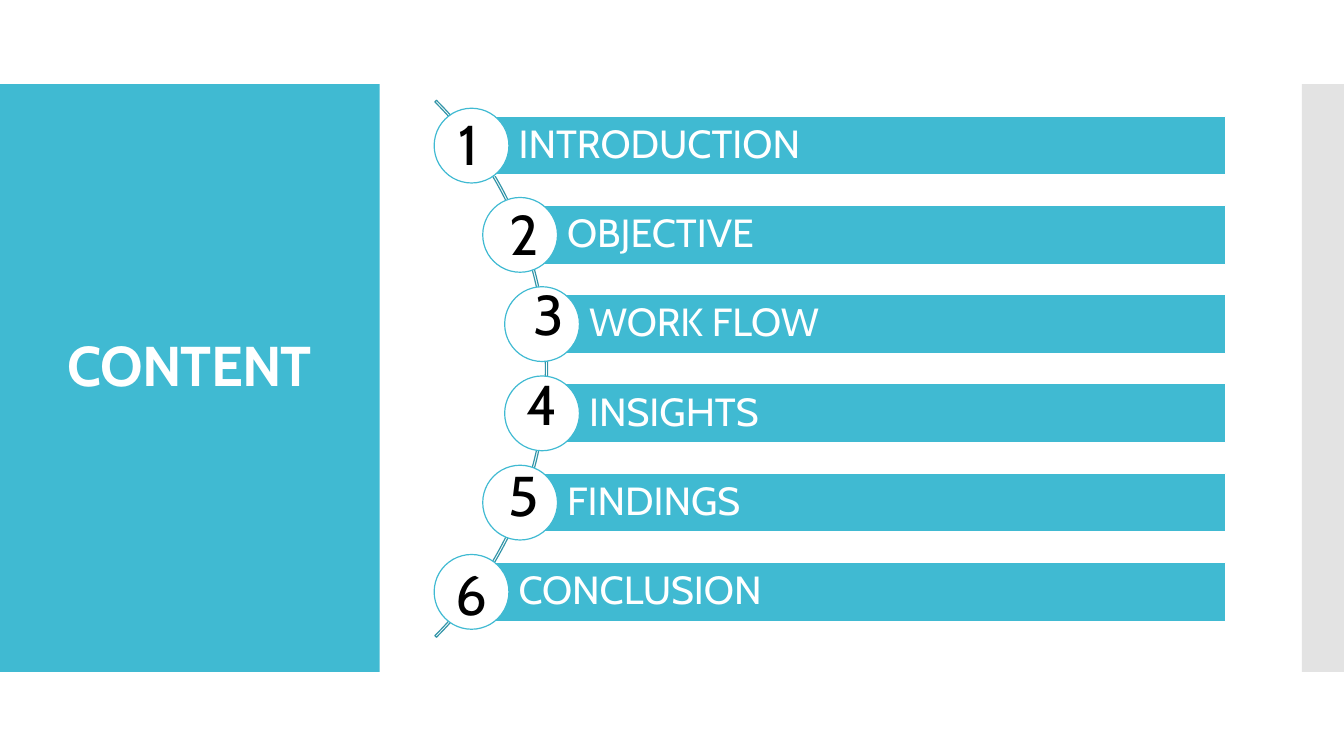
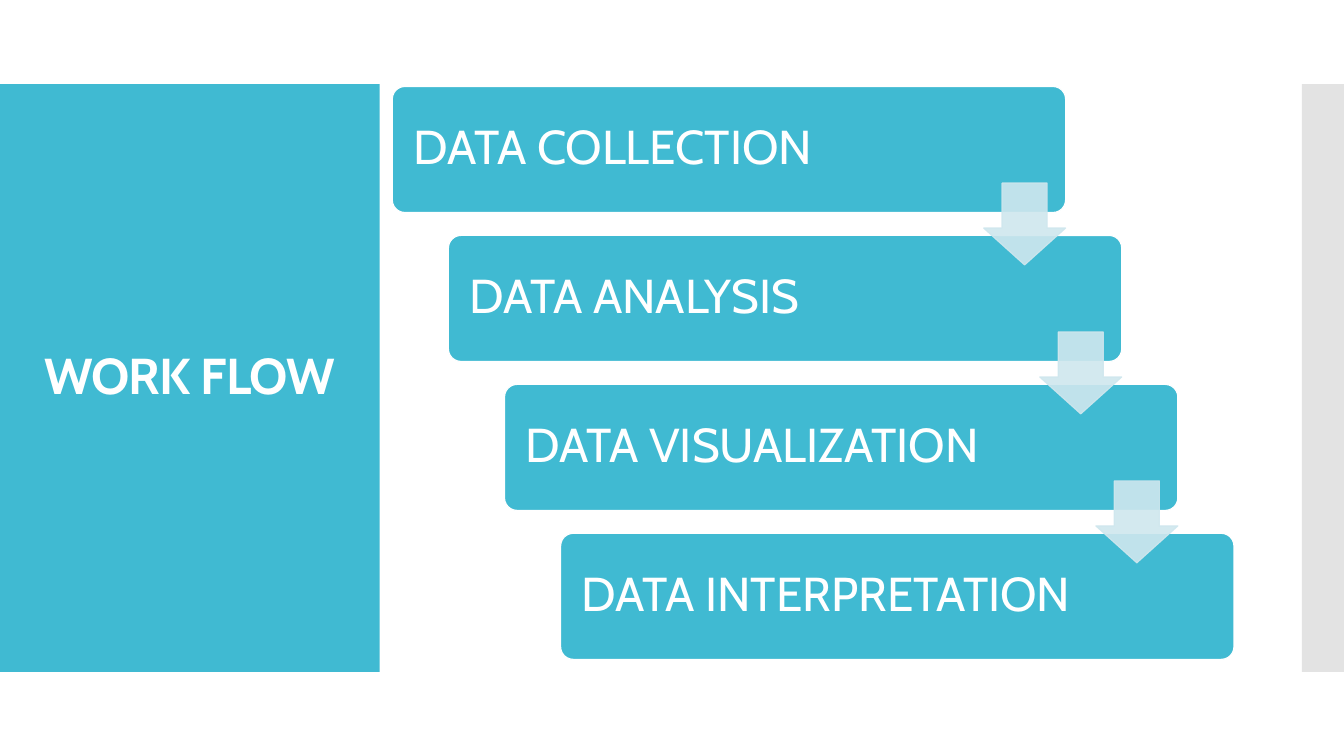
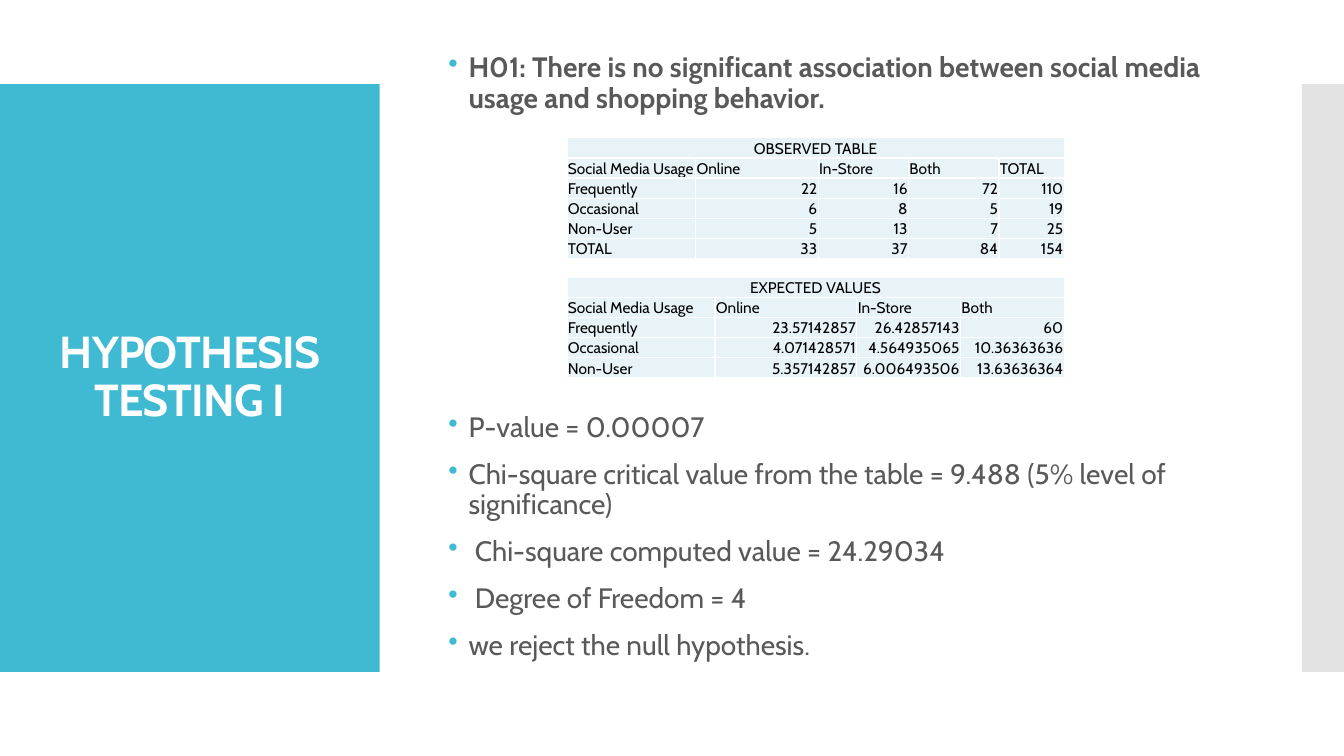
import math
from dataclasses import dataclass

import pptx
import pptx.util
import pptx.dml.color
import pptx.enum.shapes
import pptx.enum.text
import pptx.oxml
import pptx.oxml.ns

Pt = pptx.util.Pt
SHAPE = pptx.enum.shapes.MSO_SHAPE
ALIGN = pptx.enum.text.PP_ALIGN
ANCHOR = pptx.enum.text.MSO_ANCHOR
qn = pptx.oxml.ns.qn

# The slide is a grid of 160 columns by 90 rows
COLS, ROWS = 160, 90
CELL = pptx.util.Inches(7.5) / ROWS


@dataclass(frozen=True)
class Theme:
    font: str = "Cabin"
    accent: str = "40BAD2"
    arc: str = "3395A8"
    arrow: str = "CFE7EE"
    side: str = "C8C8C8"
    table: str = "E8F3F7"
    text: str = "595959"
    white: str = "FFFFFF"
    black: str = "000000"
    line: float = 0.85
    number: int = 40
    step: int = 34
    item: int = 28
    body: int = 20
    cell: int = 11


T = Theme()


@dataclass(frozen=True)
class Box:
    l: float
    t: float
    w: float
    h: float

    def emu(self):
        return [round(v * CELL) for v in (self.l, self.t, self.w, self.h)]


def rgb(color):
    return pptx.dml.color.RGBColor.from_string(color)


def add_text(p, text, size, color=T.white, bold=False, align=ALIGN.LEFT,
             leading=None, before=0, spacing=None):
    """Write one formatted run into a paragraph."""
    p.alignment = align
    p.line_spacing = leading
    p.space_before = Pt(before)
    r = p.add_run()
    r.text = text
    r.font.name, r.font.size, r.font.bold = T.font, Pt(size), bold
    r.font.color.rgb = rgb(color)
    if spacing:
        r._r.get_or_add_rPr().set("spc", str(spacing))


def add_shape(s, kind, box, fill=None, line=None, alpha=None, adj=()):
    sp = s.shapes.add_shape(kind, *box.emu())
    sp.shadow.inherit = False
    for i, value in enumerate(adj):
        sp.adjustments[i] = value
    if fill:
        sp.fill.solid()
        sp.fill.fore_color.rgb = rgb(fill)
    else:
        sp.fill.background()
    if line:
        sp.line.color.rgb = rgb(line)
        sp.line.width = Pt(T.line)
    else:
        sp.line.fill.background()
    if alpha:
        for color in sp._element.spPr.iter(qn("a:srgbClr")):
            color.append(pptx.oxml.parse_xml(
                f'<a:alpha {pptx.oxml.ns.nsdecls("a")} val="{alpha * 1000}"/>'))
    return sp


def add_label(sp, text, size, inset):
    """Left-aligned label inside a bar; inset in grid columns."""
    tf = sp.text_frame
    tf.word_wrap = True
    tf.vertical_anchor = ANCHOR.MIDDLE
    tf.margin_left = round(inset * CELL)
    add_text(tf.paragraphs[0], text, size, leading=0.9)


def add_box(s, box, anchor=ANCHOR.TOP):
    tf = s.shapes.add_textbox(*box.emu()).text_frame
    tf.word_wrap = True
    tf.vertical_anchor = anchor
    return tf


def new_slide(prs, title, size, title_top=14.8):
    """Blank slide with the title panel and the side band."""
    s = prs.slides.add_slide(prs.slide_layouts[6])
    add_shape(s, SHAPE.RECTANGLE, Box(0, 10, 45.2, 70), T.accent)
    add_shape(s, SHAPE.RECTANGLE, Box(COLS - 5, 10, 5, 70), T.side, alpha=50)
    tf = add_box(s, Box(3.3, title_top, 38.6, 60.4), ANCHOR.MIDDLE)
    add_text(tf.paragraphs[0], title, size, bold=True, align=ALIGN.CENTER,
             leading=0.9, spacing=-60)
    return s


def agenda(s, box, items):
    """Numbered bars whose badges follow an arc."""
    cx, cy = box.l - 32, box.t + box.h / 2
    outer, radius, badge = 45.2, 44.85, 8.9
    add_shape(s, SHAPE.BLOCK_ARC, Box(cx - outer, cy - outer, 2 * outer, 2 * outer),
              line=T.arc, adj=(189, 27, 0.003))
    pitch = box.h / 6.4
    bar_h = pitch * 0.66
    for i, (label, dx, dy) in enumerate(items):
        y = cy + (i - (len(items) - 1) / 2) * pitch
        x = cx + math.sqrt(radius ** 2 - (y - cy) ** 2)
        bar = add_shape(s, SHAPE.RECTANGLE,
                        Box(x, y - bar_h / 2, box.l + box.w - x, bar_h),
                        T.accent, T.white)
        add_label(bar, label, T.item, 5.6)
        left, top = x - badge / 2, y - badge / 2
        add_shape(s, SHAPE.OVAL, Box(left, top, badge, badge), T.white, T.accent)
        tf = add_box(s, Box(left + dx, top + dy, 8, 9.2))
        add_text(tf.paragraphs[0], str(i + 1), T.number, T.black)


def staircase(s, box, steps):
    """Descending steps joined by arrows."""
    gaps = len(steps) - 1
    w, h, arrow = box.w * 0.8, box.h * 0.22, 9.75
    dx, dy = (box.w - w) / gaps, (box.h - h) / gaps
    places = [Box(box.l + i * dx, box.t + i * dy, w, h) for i in range(len(steps))]
    for place, label in zip(places, steps):
        sp = add_shape(s, SHAPE.ROUNDED_RECTANGLE, place, T.accent, T.white, adj=(0.1,))
        add_label(sp, label, T.step, 2.1)
    for place in places[:-1]:
        middle = place.t + (h + dy) / 2
        add_shape(s, SHAPE.DOWN_ARROW,
                  Box(place.l + w - arrow, middle - arrow / 2, arrow, arrow),
                  T.arrow, T.arrow, alpha=90, adj=(0.55, 0.45))


def bullets(s, box, lines, bold=False):
    tf = add_box(s, box)
    for i, line in enumerate(lines):
        p = tf.add_paragraph() if i else tf.paragraphs[0]
        add_text(p, line, T.body, T.text, bold, leading=0.9, before=12 if i else 0)
        pPr = p._p.get_or_add_pPr()
        indent = round(2.4 * CELL)
        pPr.set("marL", str(indent))
        pPr.set("indent", str(-indent))
        ns = pptx.oxml.ns.nsdecls("a")
        pPr.append(pptx.oxml.parse_xml(
            f'<a:buClr {ns}><a:srgbClr val="{T.accent}"/></a:buClr>'))
        pPr.append(pptx.oxml.parse_xml(f'<a:buChar {ns} char="•"/>'))


def format_cell(cell, text, align):
    tcPr = cell._tc.get_or_add_tcPr()
    for side in ("lnL", "lnR", "lnT", "lnB"):
        tcPr.append(pptx.oxml.parse_xml(
            f'<a:{side} {pptx.oxml.ns.nsdecls("a")} w="12700"><a:solidFill>'
            f'<a:srgbClr val="{T.white}"/></a:solidFill></a:{side}>'))
    cell.fill.solid()
    cell.fill.fore_color.rgb = rgb(T.table)
    cell.margin_left = cell.margin_right = cell.margin_top = Pt(0.7)
    cell.margin_bottom = 0
    cell.vertical_anchor = ANCHOR.BOTTOM
    add_text(cell.text_frame.paragraphs[0], text, T.cell, T.black, align=align)


def data_table(s, box, title, widths, rows):
    """Title row, header row, then a label and figures in each row."""
    n = len(widths)
    table = s.shapes.add_table(len(rows) + 1, n, *box.emu()).table
    table.first_row = table.horz_banding = False
    for column, width in zip(table.columns, widths):
        column.width = round(box.w * width / sum(widths) * CELL)
    for row in table.rows:
        row.height = round(box.h / (len(rows) + 1) * CELL)
    table.cell(0, 0).merge(table.cell(0, n - 1))
    format_cell(table.cell(0, 0), title, ALIGN.CENTER)
    for i, row in enumerate(rows, 1):
        for j, text in enumerate(row):
            align = ALIGN.RIGHT if i > 1 and j else ALIGN.LEFT
            format_cell(table.cell(i, j), text, align)


def main():
    prs = pptx.Presentation()
    prs.slide_width, prs.slide_height = round(COLS * CELL), round(ROWS * CELL)

    # Content: label and the offset of its number within the badge
    s = new_slide(prs, "CONTENT", 40, title_top=13.7)
    agenda(s, Box(52, 9.9, 93.9, 68), [
        ("INTRODUCTION", 1.7, -0.5),
        ("OBJECTIVE", 2, -0.4),
        ("WORK FLOW", 2.2, -1.5),
        ("INSIGHTS", 1.4, -1.4),
        ("FINDINGS", 1.9, -1.2),
        ("CONCLUSION", 1.4, 0),
    ])

    # Work flow
    s = new_slide(prs, "WORK FLOW", 36)
    staircase(s, Box(46.7, 10.3, 100.2, 68.2), [
        "DATA COLLECTION", "DATA ANALYSIS", "DATA VISUALIZATION", "DATA INTERPRETATION"])

    # Hypothesis test
    s = new_slide(prs, "HYPOTHESIS TESTING I", 32)
    bullets(s, Box(52.2, 5.8, 96, 9), [
        "H01: There is no significant association between social media usage "
        "and shopping behavior."], bold=True)
    bullets(s, Box(52.2, 48.6, 96, 32), [
        "P-value = 0.00007",
        "Chi-square critical value from the table = 9.488 (5% level of significance)",
        " Chi-square computed value = 24.29034",
        " Degree of Freedom = 4",
        "we reject the null hypothesis.",
    ])
    header = ["Social Media Usage", "Online", "In-Store", "Both"]
    data_table(s, Box(67.5, 16.4, 59.2, 14.4), "OBSERVED TABLE",
               [1.28, 1.22, 0.9, 0.9, 0.65], [
        header + ["TOTAL"],
        ["Frequently", "22", "16", "72", "110"],
        ["Occasional", "6", "8", "5", "19"],
        ["Non-User", "5", "13", "7", "25"],
        ["TOTAL", "33", "37", "84", "154"],
    ])
    data_table(s, Box(67.5, 33, 59.2, 12), "EXPECTED VALUES",
               [1.47, 1.41, 1.03, 1.03], [
        header,
        ["Frequently", "23.57142857", "26.42857143", "60"],
        ["Occasional", "4.071428571", "4.564935065", "10.36363636"],
        ["Non-User", "5.357142857", "6.006493506", "13.63636364"],
    ])
    prs.save("out.pptx")


if __name__ == "__main__":
    main()
